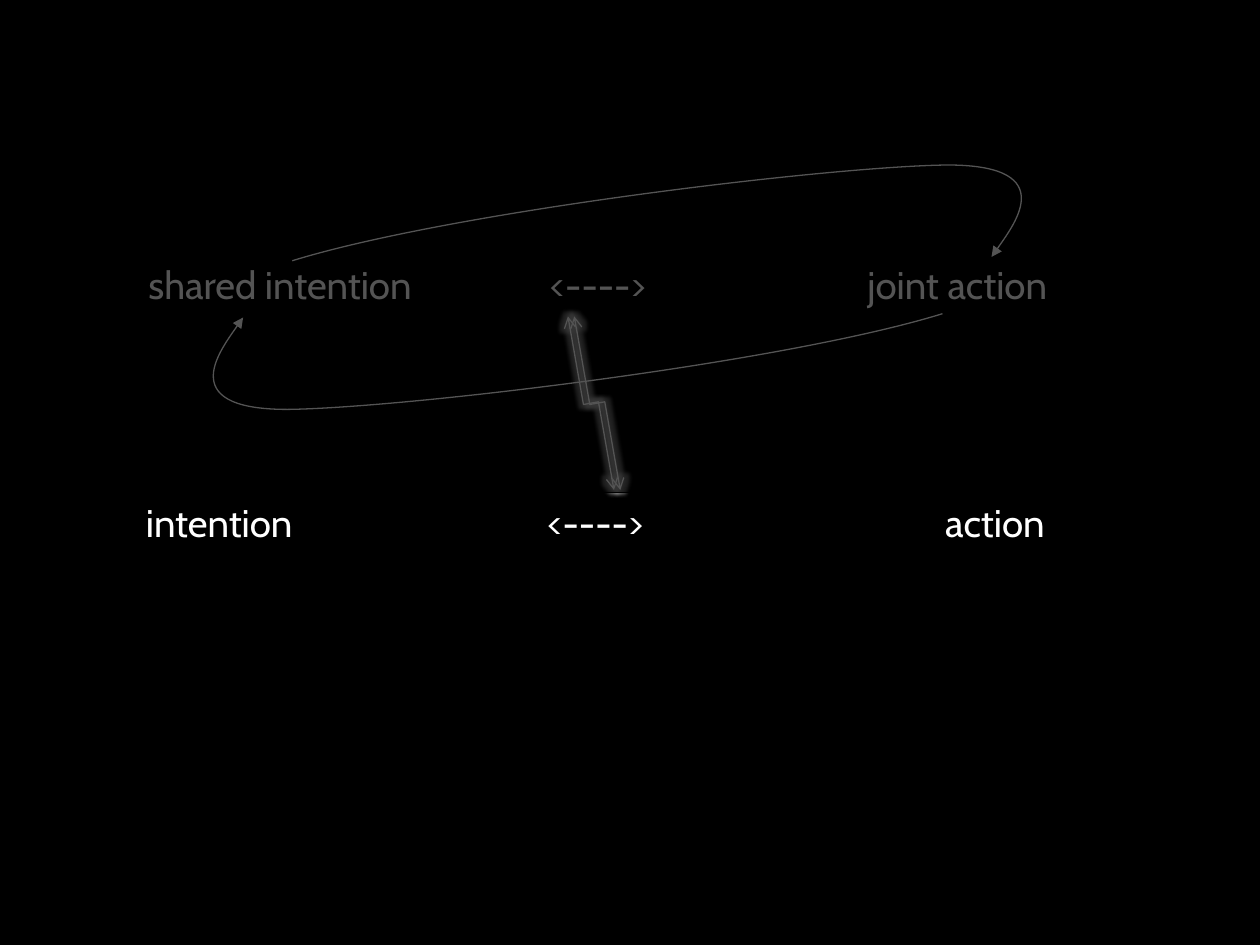
from lxml import etree
from pptx import Presentation
from pptx.dml.color import RGBColor
from pptx.enum.shapes import MSO_CONNECTOR, MSO_SHAPE
from pptx.enum.text import MSO_AUTO_SIZE, PP_ALIGN
from pptx.oxml.ns import qn
from pptx.util import Inches, Pt

ELBOW = MSO_CONNECTOR.ELBOW
RECTANGLE = MSO_SHAPE.RECTANGLE
FIT_SHAPE = MSO_AUTO_SIZE.SHAPE_TO_FIT_TEXT
ALIGNMENTS = (PP_ALIGN.LEFT, PP_ALIGN.CENTER, PP_ALIGN.RIGHT)
WHITE = "FFFFFF"
BLACK = "000000"


def color(value):
    return RGBColor.from_string(value)


def add_child(parent, tag, **attributes):
    values = {name: str(value) for name, value in attributes.items()}
    return etree.SubElement(parent, qn(tag), values)


def style_line(shape, value):
    shape.line.color.rgb = color(value)
    shape.line.width = Pt(0.75)
    return shape.line._get_or_add_ln()


def add_term_row(slide, left, top, width, height, terms):
    for term, alignment in zip(terms, ALIGNMENTS):
        box = slide.shapes.add_textbox(
            Inches(left), Inches(top), Inches(width), Inches(height))
        frame = box.text_frame
        frame.word_wrap = True
        frame.auto_size = FIT_SHAPE
        paragraph = frame.paragraphs[0]
        paragraph.text = term
        paragraph.alignment = alignment
        paragraph.font.name = "Cabin"
        paragraph.font.size = Pt(22)
        paragraph.font.color.rgb = color(WHITE)


def add_level_link(slide, left, top, width, height):
    connector = slide.shapes.add_connector(
        ELBOW, Inches(left + width), Inches(top),
        Inches(left), Inches(top + height))
    line = style_line(connector, WHITE)
    add_child(line, "a:headEnd", type="arrow")
    add_child(line, "a:tailEnd", type="arrow")
    properties = connector._element.spPr
    properties.find(qn("a:xfrm")).set("rot", str(260 * 60000))
    effects = add_child(properties, "a:effectLst")
    glow = add_child(effects, "a:glow", rad=Pt(5))
    glow_color = add_child(glow, "a:srgbClr", val=WHITE)
    add_child(glow_color, "a:alpha", val=40000)


def add_curved_arrow(slide, left, top, width, height, points):
    builder = slide.shapes.build_freeform(Inches(left), Inches(top))
    builder.add_line_segments(
        [(Inches(left + width), Inches(top + height))], close=False)
    shape = builder.convert_to_shape()
    shape.shadow.inherit = False
    shape.fill.background()
    add_child(style_line(shape, WHITE), "a:tailEnd", type="triangle")

    outline = next(shape._element.iter(qn("a:path")))
    for step in list(outline):
        outline.remove(step)
    steps = [("a:moveTo", points[:1]),
             ("a:cubicBezTo", points[1:4]),
             ("a:cubicBezTo", points[4:])]
    for tag, step_points in steps:
        step = add_child(outline, tag)
        for x, y in step_points:
            add_child(step, "a:pt", x=Inches(x - left), y=Inches(y - top))


def add_cycle(slide, left, top, width, height):
    arrow_width, arrow_height = 5.73, 0.76
    lower_top = top + height - arrow_height
    lower_points = [(7.48, 2.49), (6.22, 2.88), (3.2, 3.24), (2.28, 3.25),
                    (1.35, 3.25), (1.93, 2.52), (1.93, 2.52)]
    upper_points = [(2 * left + width - x, 2 * top + height - y)
                    for x, y in lower_points]
    add_curved_arrow(slide, left, lower_top, arrow_width, arrow_height,
                     lower_points)
    add_curved_arrow(slide, left + width - arrow_width, top,
                     arrow_width, arrow_height, upper_points)


def add_dimmer(slide, left, top, width, height):
    shape = slide.shapes.add_shape(
        RECTANGLE, Inches(left), Inches(top), Inches(width), Inches(height))
    shape.shadow.inherit = False
    shape.fill.solid()
    shape.fill.fore_color.rgb = color(BLACK)
    fill_color = shape._element.spPr.find(qn("a:solidFill"))[0]
    add_child(fill_color, "a:alpha", val=67000)
    style_line(shape, BLACK)


def main():
    presentation = Presentation()
    presentation.slide_width = Inches(10)
    presentation.slide_height = Inches(7.5)
    slide = presentation.slides.add_slide(presentation.slide_layouts[6])
    slide.background.fill.solid()
    slide.background.fill.fore_color.rgb = color(BLACK)

    add_term_row(slide, 1.08, 2.02, 7.33, 0.47,
                 ("shared intention", "<---->", "joint action"))
    add_term_row(slide, 1.06, 3.91, 7.33, 0.47,
                 ("intention", "<---->", "action"))
    for left in (3.98, 4.03):
        add_level_link(slide, left, 3.14, 1.42, 0.12)
    add_cycle(slide, 1.75, 1.31, 6.3, 1.94)
    add_dimmer(slide, 0.59, 1.15, 8.27, 2.76)
    presentation.save("out.pptx")


if __name__ == "__main__":
    main()
